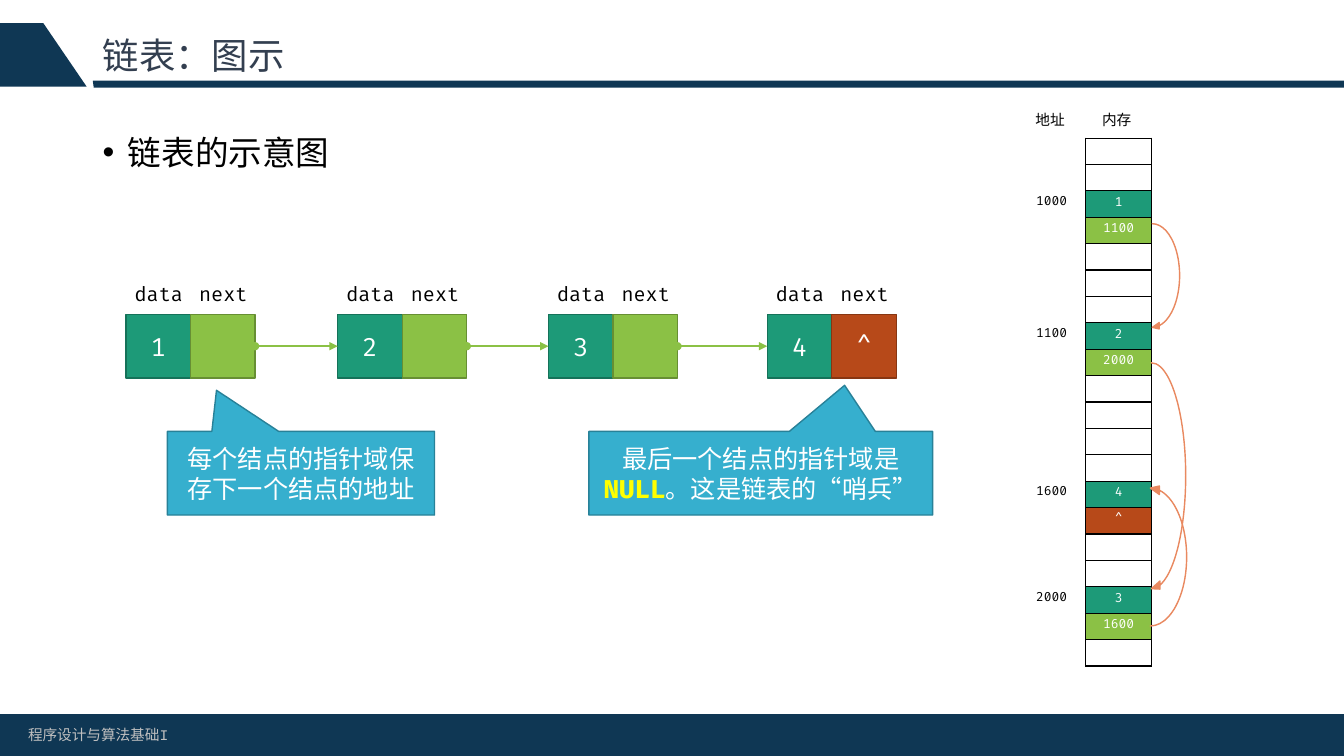
"""Build the slide that explains linked lists with a diagram and a memory map."""
from typing import NamedTuple

from lxml import etree
from pptx import Presentation
from pptx.dml.color import RGBColor
from pptx.enum.shapes import MSO_CONNECTOR, MSO_SHAPE
from pptx.enum.text import MSO_ANCHOR, PP_ALIGN
from pptx.oxml.ns import qn
from pptx.util import Inches, Pt

RECTANGLE = MSO_SHAPE.RECTANGLE
CALLOUT = MSO_SHAPE.RECTANGULAR_CALLOUT
CURVED_ARROW = MSO_SHAPE.CURVED_LEFT_ARROW
STRAIGHT = MSO_CONNECTOR.STRAIGHT
LEFT, CENTER, JUSTIFY = PP_ALIGN.LEFT, PP_ALIGN.CENTER, PP_ALIGN.JUSTIFY
TOP, MIDDLE = MSO_ANCHOR.TOP, MSO_ANCHOR.MIDDLE

MONO, CODE, CJK = "Courier New", "Fira Code", "Noto Sans CJK SC"
NAVY, BLACK, WHITE, YELLOW = "0F3754", "000000", "FFFFFF", "FFFF00"
TEAL, GREEN, RUST, BLUE, ORANGE = "1D9A78", "8BC145", "B74919", "36AFCE", "E98960"
OUTLINES = {TEAL: "157259", GREEN: "678F33", RUST: "873612", BLUE: "288198", ORANGE: ORANGE}

NODE_TOP, NODE_HEIGHT, FIELD_WIDTH = 3.12, 0.63, 0.64
ROW_COUNT, TABLE_HEIGHT = 20, 5.24


class Area(NamedTuple):
    left: float
    top: float
    width: float
    height: float


class Style(NamedTuple):
    size: float
    color: str
    name: str = CODE
    bold: bool = False


class Label(NamedTuple):
    area: Area
    text: str
    style: Style
    align: PP_ALIGN = CENTER
    anchor: MSO_ANCHOR = TOP


class Node(NamedTuple):
    left: float
    value: str
    pointer: str
    pointer_color: str
    address: str
    row: int


class Callout(NamedTuple):
    area: Area
    tip: tuple[float, float]
    spans: list[tuple[str, Style]]


class Jump(NamedTuple):
    area: Area
    flipped: bool


NODE_STYLE = Style(18, WHITE)
FIELD_STYLE = Style(14, BLACK)
HEADING_STYLE = Style(10.5, BLACK, CJK)

BANDS = [
    [(0.92, 0.8), (13.33, 0.8), (13.33, 0.87), (0.93, 0.87)],
    [(0.43, 0.23), (0.86, 0.86), (0, 0.86), (0, 0.23)],
    [(0, 7.08), (13.33, 7.08), (13.33, 7.5), (0, 7.5)],
]
LABELS = [
    Label(Area(0.18, 7.15, 4.32, 0.29), "程序设计与算法基础I", Style(10.5, "BFBFBF", MONO), LEFT),
    Label(Area(0.92, 0.23, 11.5, 0.64), "链表：图示", Style(26, "333F50", MONO), LEFT, MIDDLE),
    Label(Area(10.06, 1.05, 0.71, 0.29), "地址", HEADING_STYLE),
    Label(Area(10.72, 1.05, 0.71, 0.29), "内存", HEADING_STYLE),
]
BULLET = Label(Area(0.92, 1.26, 11.5, 5.43), "链表的示意图", Style(24, BLACK, MONO), JUSTIFY)
NODES = [
    Node(1.25, "1", "1100", GREEN, "1000", 2),
    Node(3.35, "2", "2000", GREEN, "1100", 7),
    Node(5.44, "3", "1600", GREEN, "2000", 17),
    Node(7.61, "4", "^", RUST, "1600", 13),
]
CALLOUTS = [
    Callout(Area(1.66, 4.28, 2.65, 0.83), (-0.316, -0.991),
            [("每个结点的指针域保存下一个结点的地址", NODE_STYLE)]),
    Callout(Area(5.84, 4.28, 3.41, 0.83), (0.244, -1.051),
            [("最后一个结点的指针域是", NODE_STYLE),
             ("NULL", Style(18, YELLOW, bold=True)),
             ("。这是链表的“哨兵”", NODE_STYLE)]),
]
JUMPS = [
    Jump(Area(11.43, 2.22, 0.27, 1.06), False),
    Jump(Area(11.42, 3.6, 0.34, 2.28), False),
    Jump(Area(11.41, 4.8, 0.36, 1.41), True),
]


def paint(target, color: str) -> None:
    target.solid()
    target.fore_color.rgb = RGBColor.from_string(color)


def place(area: Area) -> list[int]:
    return [Inches(length) for length in area]


def write(para, text: str, style: Style) -> None:
    span = para.add_run()
    span.text = text
    values = {"size": Pt(style.size), "name": style.name, "bold": style.bold}
    for name, value in values.items():
        setattr(span.font, name, value)
    paint(span.font.fill, style.color)
    etree.SubElement(span.font._element, qn("a:ea"), typeface=CJK)


def add_label(page, label: Label):
    frame = page.shapes.add_textbox(*place(label.area)).text_frame
    frame.word_wrap = True
    frame.vertical_anchor = label.anchor
    para = frame.paragraphs[0]
    para.alignment = label.align
    write(para, label.text, label.style)
    return para


def add_bullet(page, label: Label) -> None:
    properties = add_label(page, label)._p.get_or_add_pPr()
    properties.set("marL", str(Inches(0.25)))
    properties.set("indent", str(Inches(-0.25)))
    etree.SubElement(properties, qn("a:buFont"), typeface="Arial")
    etree.SubElement(properties, qn("a:buChar"), char="•")


def add_band(page, points: list[tuple[float, float]]) -> None:
    corners = [(Inches(x), Inches(y)) for x, y in points]
    builder = page.shapes.build_freeform(*corners[0])
    builder.add_line_segments(corners[1:])
    band = builder.convert_to_shape()
    band.shadow.inherit = False
    paint(band.fill, NAVY)
    band.line.fill.background()


def add_box(page, kind: MSO_SHAPE, area: Area, color: str, spans: list[tuple[str, Style]]):
    box = page.shapes.add_shape(kind, *place(area))
    box.shadow.inherit = False
    paint(box.fill, color)
    paint(box.line.fill, OUTLINES[color])
    box.line.width = Pt(1)
    frame = box.text_frame
    frame.word_wrap = True
    frame.vertical_anchor = MIDDLE
    frame.paragraphs[0].alignment = CENTER
    for text, style in spans:
        write(frame.paragraphs[0], text, style)
    return box


def add_node(page, node: Node) -> None:
    mark = node.pointer if node.pointer_color == RUST else ""
    fields = [("data", node.value, TEAL), ("next", mark, node.pointer_color)]
    for index, (title, text, color) in enumerate(fields):
        left = node.left + index * FIELD_WIDTH
        spans = [(text, NODE_STYLE)] if text else []
        add_box(page, RECTANGLE, Area(left, NODE_TOP, FIELD_WIDTH, NODE_HEIGHT), color, spans)
        add_label(page, Label(Area(left - 0.03, 2.75, 0.71, 0.34), title, FIELD_STYLE))


def add_link(page, start: Node, end: Node) -> None:
    middle = Inches(NODE_TOP + NODE_HEIGHT / 2)
    link = page.shapes.add_connector(
        STRAIGHT, Inches(start.left + 2 * FIELD_WIDTH), middle, Inches(end.left), middle)
    paint(link.line.fill, GREEN)
    link.line.width = Pt(1.5)
    line = link.line._get_or_add_ln()
    etree.SubElement(line, qn("a:headEnd"), type="oval")
    etree.SubElement(line, qn("a:tailEnd"), type="triangle")
    etree.SubElement(link._element.spPr, qn("a:effectLst"))


def add_column(page, area: Area, entries: dict[int, tuple[str, str]], bordered: bool) -> None:
    table = page.shapes.add_table(ROW_COUNT, 1, *place(area)).table
    table.first_row = table.horz_banding = False
    for index in range(ROW_COUNT):
        table.rows[index].height = Inches(TABLE_HEIGHT / ROW_COUNT)
        cell = table.cell(index, 0)
        cell.margin_top, cell.margin_bottom = Inches(0.04), Inches(0.02)
        for side in ("lnL", "lnR", "lnT", "lnB"):
            edge = etree.SubElement(cell._tc.get_or_add_tcPr(), qn(f"a:{side}"), w=str(Pt(1)))
            paint_edge = etree.SubElement(edge, qn("a:solidFill" if bordered else "a:noFill"))
            if bordered:
                etree.SubElement(paint_edge, qn("a:srgbClr"), val=BLACK)
        text, color = entries.get(index, ("", ""))
        para = cell.text_frame.paragraphs[0]
        para.alignment = CENTER
        if text:
            write(para, text, Style(9, WHITE if color else BLACK))
        etree.SubElement(para._p, qn("a:endParaRPr"), sz="900")
        if color:
            paint(cell.fill, color)
        else:
            cell.fill.background()


def add_jump(page, jump: Jump) -> None:
    arrow = add_box(page, CURVED_ARROW, jump.area, ORANGE, [])
    for index, value in enumerate((0, 0.235, 0.25)):
        arrow.adjustments[index] = value
    if jump.flipped:
        arrow._element.spPr.xfrm.set("flipV", "1")


def main() -> None:
    deck = Presentation()
    deck.slide_width, deck.slide_height = Inches(13.33), Inches(7.5)
    page = deck.slides.add_slide(deck.slide_layouts[6])
    for points in BANDS:
        add_band(page, points)
    for label in LABELS:
        add_label(page, label)
    add_bullet(page, BULLET)
    for node in NODES:
        add_node(page, node)
    for start, end in zip(NODES, NODES[1:]):
        add_link(page, start, end)
    for callout in CALLOUTS:
        box = add_box(page, CALLOUT, callout.area, BLUE, callout.spans)
        box.adjustments[0], box.adjustments[1] = callout.tip
    memory = {node.row: (node.value, TEAL) for node in NODES}
    memory |= {node.row + 1: (node.pointer, node.pointer_color) for node in NODES}
    addresses = {node.row: (node.address, "") for node in NODES}
    add_column(page, Area(10.77, 1.37, 0.65, TABLE_HEIGHT), memory, True)
    add_column(page, Area(10.09, 1.36, 0.68, TABLE_HEIGHT), addresses, False)
    for jump in JUMPS:
        add_jump(page, jump)
    deck.save("out.pptx")


if __name__ == "__main__":
    main()
